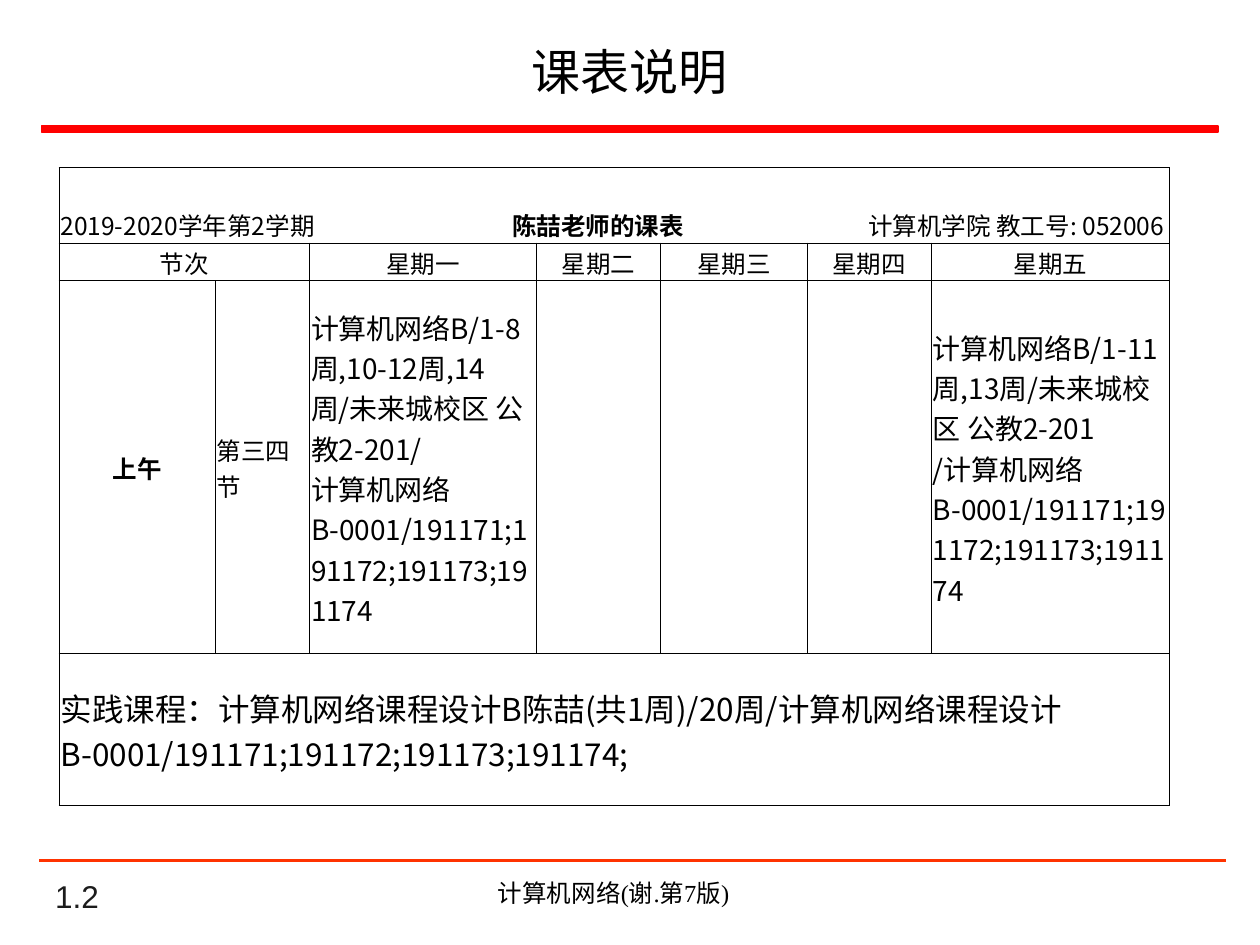
from lxml import etree
from pptx import Presentation
from pptx import util as u
from pptx.dml.color import RGBColor
from pptx.enum import shapes, text
from pptx.oxml import ns

Cm = u.Cm
HUE = {"ink": "000000", "page": "1C1C1C", "bar": "FF0000", "rule": "FF3300"}
SANS = "Noto Sans CJK SC"
MID, LOW, TOP = (text.MSO_ANCHOR.MIDDLE, text.MSO_ANCHOR.BOTTOM,
                 text.MSO_ANCHOR.TOP)
LEFT, CTR = text.PP_ALIGN.LEFT, text.PP_ALIGN.CENTER

COLS = [3.15, 1.9, 4.57, 2.51, 2.95, 2.51, 4.8]
ROWS = [1.52, 0.76, 7.52, 3.05]
DAYS = ["星期一", "星期二", "星期三", "星期四", "星期五"]
CLASS = "计算机网络B-0001/191171;191172;191173;191174"


def rgb(key):
    return RGBColor.from_string(HUE[key])


def sub(node, tag, **attrs):
    return etree.SubElement(node, ns.qn(tag), attrs)


def add_run(par, words, size, face=SANS, hue="ink", bold=False):
    run = par.add_run()
    run.text = words
    look = {"name": face, "size": u.Pt(size), "bold": bold}
    for key, val in look.items():
        setattr(run.font, key, val)
    run.font.color.rgb = rgb(hue)
    sub(run.font._element, "a:ea", typeface=SANS)


def add_label(slide, words, area, size, face, hue="ink", align=CTR, anchor=TOP):
    box = slide.shapes.add_textbox(*map(Cm, area))
    frame = box.text_frame
    look = {"word_wrap": True, "auto_size": text.MSO_AUTO_SIZE.NONE,
            "vertical_anchor": anchor}
    for key, val in look.items():
        setattr(frame, key, val)
    par = frame.paragraphs[0]
    par.alignment = align
    add_run(par, words, size, face, hue)


def add_bar(slide, area):
    bar = slide.shapes.add_shape(shapes.MSO_SHAPE.RECTANGLE, *map(Cm, area))
    bar.shadow.inherit = False
    bar.fill.solid()
    bar.fill.fore_color.rgb = rgb("bar")
    bar.line.color.rgb = rgb("bar")
    bar.line.width = u.Pt(1)


def add_rule(slide, left, right, top):
    rule = slide.shapes.add_connector(
        shapes.MSO_CONNECTOR.STRAIGHT, Cm(left), Cm(top), Cm(right), Cm(top))
    rule.line.color.rgb = rgb("rule")
    rule.line.width = u.Pt(1.5)
    sub(rule._element.spPr, "a:effectLst")


def frame_cell(cell):
    """Clear the fill, then draw a thin line on all four sides."""
    cell.fill.background()
    props = cell._tc.get_or_add_tcPr()
    for spot, side in enumerate(["a:lnL", "a:lnR", "a:lnT", "a:lnB"]):
        line = sub(props, side, w=str(u.Pt(0.5)))
        sub(sub(line, "a:solidFill"), "a:srgbClr", val=HUE["ink"])
        props.insert(spot, line)


def fill_cell(cell, lines, size=14, align=LEFT, bold=False, anchor=MID):
    cell.vertical_anchor = anchor
    for spot, words in enumerate(lines):
        frame = cell.text_frame
        par = frame.add_paragraph() if spot else frame.paragraphs[0]
        par.alignment = align
        add_run(par, words, size, bold=bold)


def add_head(cell):
    """Term on the left, teacher in the middle, staff number on the right."""
    cell.vertical_anchor = LOW
    par = cell.text_frame.paragraphs[0]
    tabs = sub(par._p.get_or_add_pPr(), "a:tabLst")
    for place, kind in [(10.84, "ctr"), (22.25, "r")]:
        sub(tabs, "a:tab", pos=str(Cm(place)), algn=kind)
    add_run(par, "2019-2020学年第2学期\t", 14)
    add_run(par, "陈喆老师的课表", 14, bold=True)
    add_run(par, "\t计算机学院 教工号: 052006", 14)


def add_plan(slide):
    shape = slide.shapes.add_table(len(ROWS), len(COLS), Cm(1.19), Cm(3.38),
                                   Cm(sum(COLS)), Cm(sum(ROWS)))
    grid = shape.table
    grid.first_row = grid.horz_banding = False
    for col, wide in zip(grid.columns, COLS):
        col.width = Cm(wide)
    for row, high in zip(grid.rows, ROWS):
        row.height = Cm(high)
    pads = {"margin_left": 0.03, "margin_right": 0.03,
            "margin_top": 0.03, "margin_bottom": 0}
    for cell in grid.iter_cells():
        frame_cell(cell)
        for key, val in pads.items():
            setattr(cell, key, Cm(val))
    last = len(COLS) - 1
    for row, end in [(0, last), (1, 1), (3, last)]:
        grid.cell(row, 0).merge(grid.cell(row, end))

    # Heading rows
    add_head(grid.cell(0, 0))
    fill_cell(grid.cell(1, 0), ["节次"], align=CTR)
    for col, day in enumerate(DAYS, 2):
        fill_cell(grid.cell(1, col), [day], align=CTR)

    # Morning lessons
    fill_cell(grid.cell(2, 0), ["上午"], align=CTR, bold=True)
    fill_cell(grid.cell(2, 1), ["第三四节"])
    fill_cell(grid.cell(2, 2), [
        "计算机网络B/1-8周,10-12周,14周/未来城校区 公教2-201/", CLASS], 16)
    fill_cell(grid.cell(2, last), [
        "计算机网络B/1-11周,13周/未来城校区 公教2-201", "/" + CLASS], 16)

    # Practical course
    fill_cell(grid.cell(3, 0), [
        "实践课程：计算机网络课程设计B陈喆(共1周)/20周/计算机网络课程设计"
        "B-0001/191171;191172;191173;191174;"], 18)


def main():
    deck = Presentation()
    deck.slide_width, deck.slide_height = Cm(25.4), Cm(19.05)
    slide = deck.slides.add_slide(deck.slide_layouts[6])

    # Title and bar
    add_bar(slide, (0.84, 2.54, 23.72, 0.13))
    add_label(slide, "课表说明", (0.99, 0.56, 23.39, 1.75), 28, "Lato",
              anchor=MID)

    # Timetable
    add_plan(slide)

    # Footer
    add_rule(slide, 0.79, 24.71, 17.35)
    add_label(slide, "1.2", (0.86, 17.73, 5.28, 0.84), 18, "Arial", "page",
              LEFT, LOW)
    add_label(slide, "计算机网络(谢.第7版)", (7.19, 17.58, 10.36, 0.86), 14,
              "Times New Roman")

    deck.save("out.pptx")


if __name__ == "__main__":
    main()
